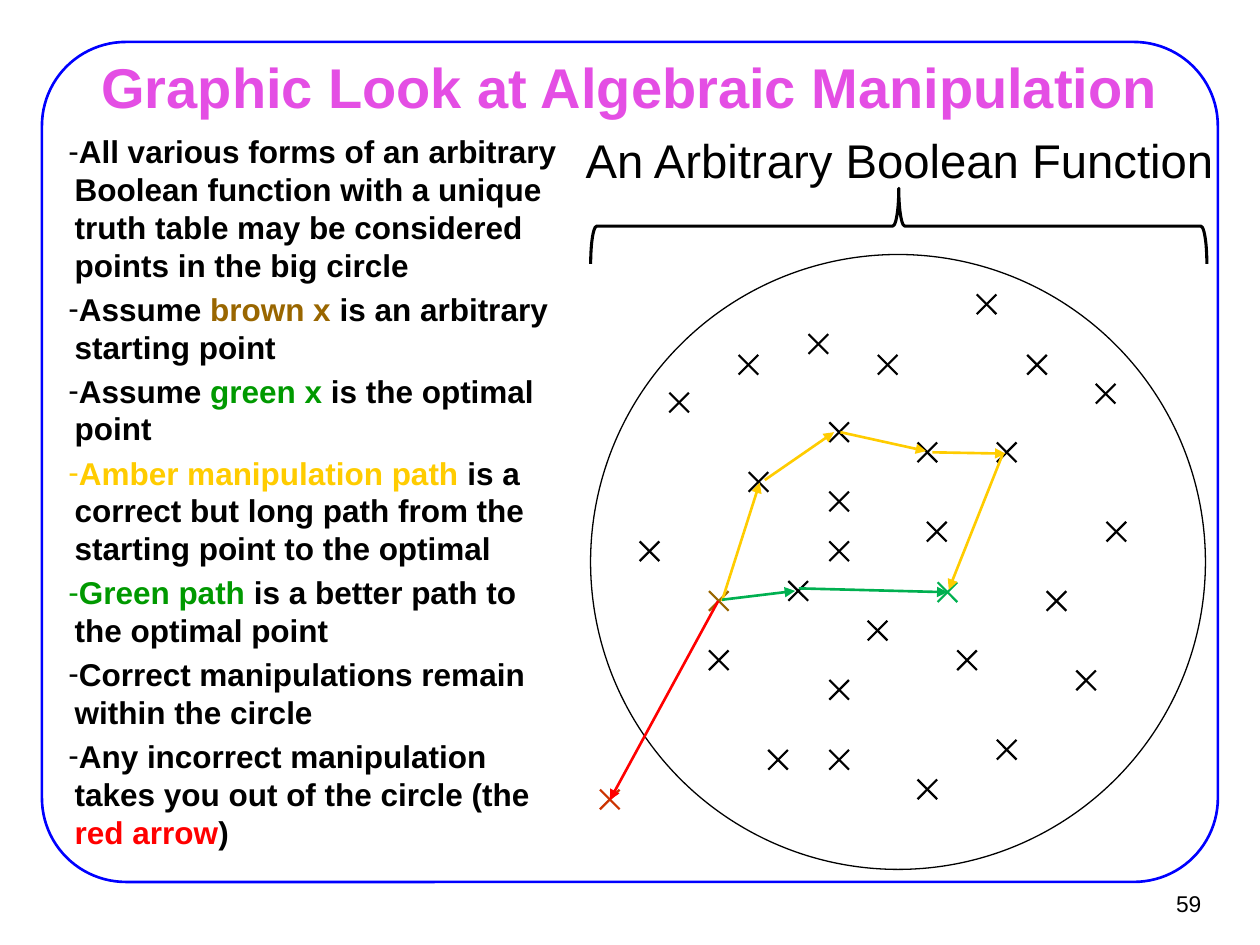
from typing import NamedTuple

from pptx import Presentation
from pptx.dml.color import RGBColor
from pptx.enum.shapes import MSO_CONNECTOR as Conn, MSO_SHAPE as Kind
from pptx.enum.text import MSO_ANCHOR as Anchor, PP_ALIGN as Align
from pptx.oxml.ns import qn
from pptx.util import Inches, Pt
from lxml.etree import SubElement as Sub

# The slide is a grid of 100 columns by 75 rows; all lengths count its cells.
COLS, ROWS = 100, 75
CELL = Inches(0.1)

BLACK, WHITE, BLUE, PINK = "000000", "FFFFFF", "0000FF", "E44EE4"
BROWN, GREEN, AMBER, RED = "996600", "009900", "FFCC00", "FF0000"
LEAF, RUST = "00B050", "CC3300"


class Box(NamedTuple):
    col: float
    row: float
    wide: float
    high: float


class Cross(NamedTuple):
    col: float
    row: float
    hue: str = BLACK


class Arrow(NamedTuple):
    start: tuple[float, float]
    end: tuple[float, float]
    hue: str


class Run(NamedTuple):
    text: str
    hue: str = BLACK


POINTS = [
    Cross(64.95, 27.3), Cross(66.6, 34.3), Cross(70.45, 28.95),
    Cross(66.6, 39.8), Cross(82.3, 28.95), Cross(66.6, 43.75),
    Cross(69.65, 50.05), Cross(60.2, 38.25), Cross(63.35, 46.9),
    Cross(57.05, 52.4), Cross(66.6, 54.75), Cross(61.75, 60.3),
    Cross(76.75, 52.4), Cross(66.6, 60.3), Cross(73.6, 35.9),
    Cross(83.85, 47.7), Cross(74.35, 42.2), Cross(79.9, 35.9),
    Cross(51.55, 43.75), Cross(88.6, 42.2), Cross(73.6, 62.65),
    Cross(79.9, 59.5), Cross(86.2, 54), Cross(59.4, 28.95),
    Cross(75.2, 47, LEAF), Cross(53.9, 31.95), Cross(78.3, 24.15),
    Cross(87.75, 31.25), Cross(48.4, 63.45, RUST), Cross(57.05, 47.7, BROWN),
]

ARROWS = [
    Arrow((57.3, 47.7), (60.3, 38.3), AMBER),
    Arrow((60.7, 38.1), (66.2, 34.3), AMBER),
    Arrow((66.7, 34.3), (73.5, 35.8), AMBER),
    Arrow((74, 35.9), (79.8, 36), AMBER),
    Arrow((79.6, 36), (75.3, 46.8), AMBER),
    Arrow((57.3, 47.6), (63.1, 46.9), LEAF),
    Arrow((63.4, 46.7), (75.2, 47), LEAF),
    Arrow((57, 47.7), (48.4, 63.5), RED),
]

NOTES = [
    [Run("All various forms of an arbitrary Boolean function with a unique "
         "truth table may be considered points in the big circle")],
    [Run("Assume"), Run(" brown x", BROWN),
     Run(" is an arbitrary starting point")],
    [Run("Assume"), Run(" green x", GREEN), Run(" is the optimal point")],
    [Run("Amber manipulation path ", AMBER),
     Run("is a correct but long path from the starting point to the optimal")],
    [Run("Green path ", GREEN), Run("is a better path to the optimal point")],
    [Run("Correct manipulations remain within the circle")],
    [Run("Any incorrect manipulation takes you out of the circle (the "),
     Run("red arrow", RED), Run(")")],
]


def cells(*counts: float) -> list[int]:
    return [round(n * CELL) for n in counts]


def rgb(hue: str) -> RGBColor:
    return RGBColor.from_string(hue)


def draw_shape(slide, kind, box: Box, hue: str, width: float, fill=None):
    shape = slide.shapes.add_shape(kind, *cells(*box))
    shape.shadow.inherit = False
    shape.line.color.rgb = rgb(hue)
    shape.line.width = Pt(width)
    if fill:
        shape.fill.solid()
        shape.fill.fore_color.rgb = rgb(fill)
    else:
        shape.fill.background()
    return shape


def draw_line(slide, start, end, hue: str, width: float):
    line = slide.shapes.add_connector(
        Conn.STRAIGHT, *cells(*start), *cells(*end))
    line.line.color.rgb = rgb(hue)
    line.line.width = Pt(width)
    Sub(line._element.spPr, qn("a:effectLst"))
    return line


def draw_cross(slide, mark: Cross) -> None:
    half = 0.78
    for side in (-half, half):
        draw_line(slide, (mark.col + side, mark.row - half),
                  (mark.col - side, mark.row + half), mark.hue, 1.25)


def draw_arrow(slide, arrow: Arrow) -> None:
    line = draw_line(slide, arrow.start, arrow.end, arrow.hue, 1.5)
    Sub(line.line._get_or_add_ln(), qn("a:tailEnd"), type="triangle")


def add_text(slide, box: Box, paras: list[list[Run]], size: float,
             bold=False, align=Align.LEFT, anchor=Anchor.TOP, wrap=True,
             inset=(1, 0.5)):
    frame = slide.shapes.add_textbox(*cells(*box)).text_frame
    frame.word_wrap = wrap
    frame.vertical_anchor = anchor
    frame.margin_left = frame.margin_right = cells(inset[0])[0]
    frame.margin_top = frame.margin_bottom = cells(inset[1])[0]
    for i, runs in enumerate(paras):
        para = frame.add_paragraph() if i else frame.paragraphs[0]
        para.alignment = align
        for text, hue in runs:
            run = para.add_run()
            run.text = text
            font = run.font
            font.name, font.size, font.bold = "Arial", Pt(size), bold
            font.color.rgb = rgb(hue)
    return frame


def add_dashes(frame) -> None:
    """Give each paragraph a hanging dash and its spacing."""
    for para in frame.paragraphs:
        para.space_before = Pt(3.6)
        props = para._p.get_or_add_pPr()
        left, hang = cells(0.5, -1)
        props.set("marL", str(left))
        props.set("indent", str(hang))
        Sub(props, qn("a:buFont"), typeface="Arial")
        Sub(props, qn("a:buChar"), char="-")


def main() -> None:
    deck = Presentation()
    deck.slide_width, deck.slide_height = cells(COLS, ROWS)
    slide = deck.slides.add_slide(deck.slide_layouts[6])

    frame = draw_shape(slide, Kind.ROUNDED_RECTANGLE,
                       Box(3.33, 3.33, 93.33, 66.67), BLUE, 1.5)
    frame.adjustments[0] = 0.1
    add_text(slide, Box(90.15, 69.85, 6.1, 3.7), [[Run("59")]], 13,
             align=Align.RIGHT, anchor=Anchor.MIDDLE, wrap=False,
             inset=(0.9, 0.4))
    add_text(slide, Box(1.2, 4.4, 97.6, 4.9),
             [[Run("Graphic Look at Algebraic Manipulation", PINK)]], 32,
             bold=True, align=Align.CENTER, anchor=Anchor.MIDDLE,
             inset=(1.1, 0.6))
    add_dashes(add_text(slide, Box(4.33, 9.9, 41.2, 58.3), NOTES, 18,
                        bold=True, inset=(1.1, 0.6)))

    draw_shape(slide, Kind.OVAL, Box(46.87, 20.2, 48.8, 48.8),
               BLACK, 0.75, WHITE)
    for mark in POINTS:
        draw_cross(slide, mark)
    for arrow in ARROWS:
        draw_arrow(slide, arrow)

    add_text(slide, Box(45.5, 9.9, 52.6, 5.6),
             [[Run("An Arbitrary Boolean Function")]], 27)
    brace = draw_shape(slide, Kind.LEFT_BRACE, Box(68.33, -6.5, 6, 48.9),
                       BLACK, 1.75)
    brace.rotation = 90
    brace.adjustments[0] = 0.08
    brace.adjustments[1] = 0.5

    deck.save("out.pptx")


if __name__ == "__main__":
    main()
